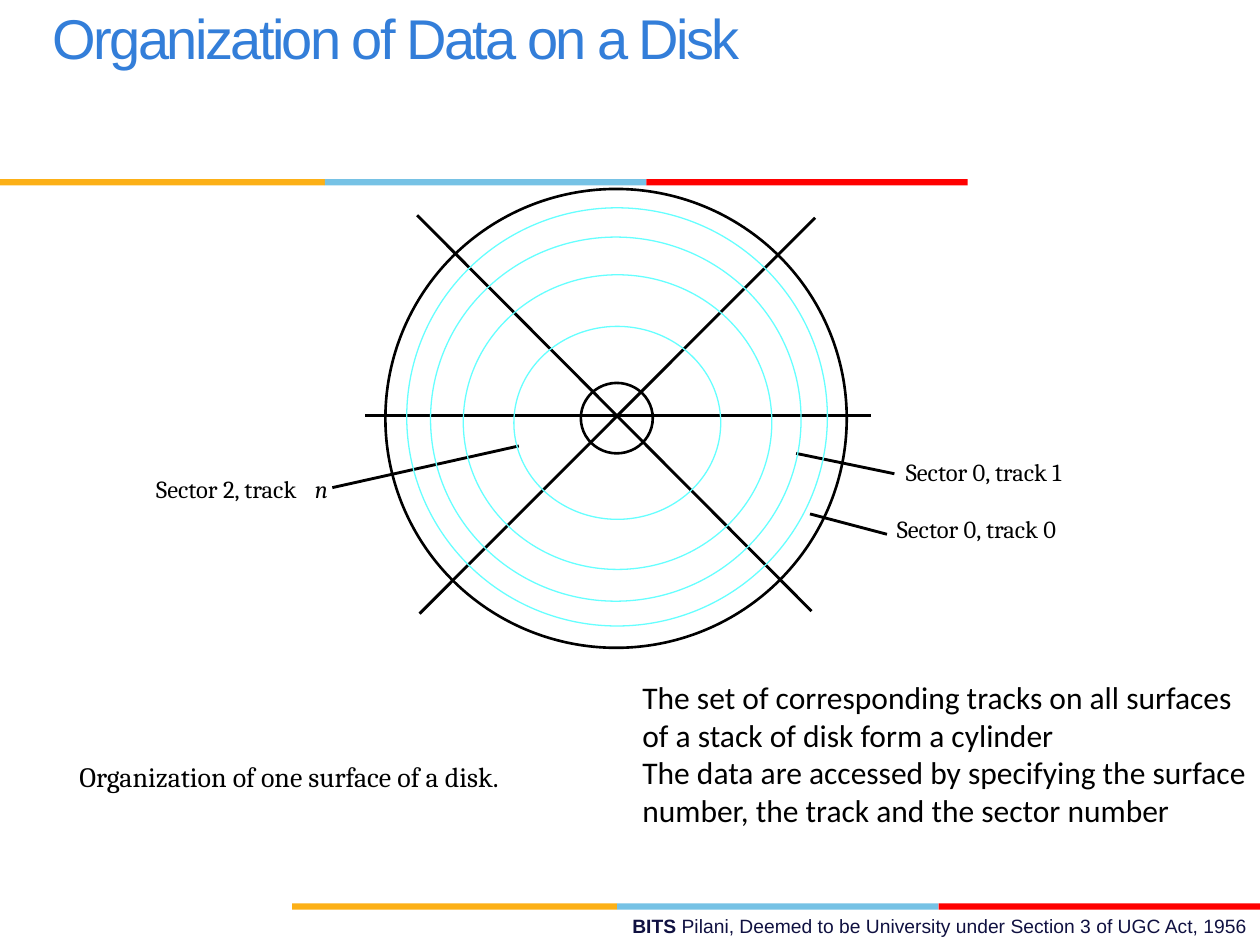
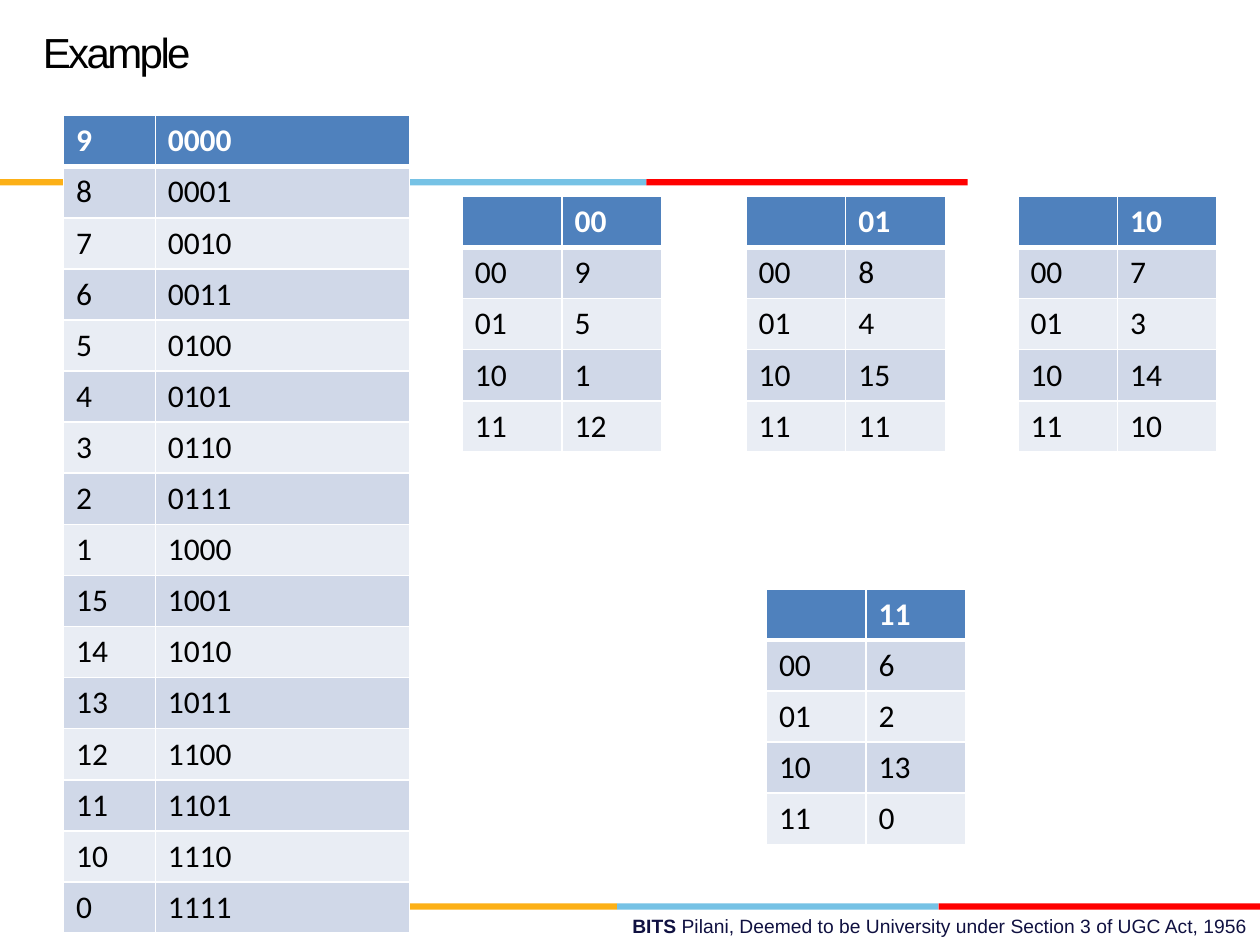
import pptx
import pptx.dml.color
import pptx.enum.shapes
import pptx.enum.text
import pptx.oxml.ns
import pptx.util
from lxml import etree

Cm = pptx.util.Cm
Pt = pptx.util.Pt
RGB = pptx.dml.color.RGBColor
Kind = pptx.enum.shapes.MSO_SHAPE
Align = pptx.enum.text.PP_ALIGN
Anchor = pptx.enum.text.MSO_ANCHOR
qn = pptx.oxml.ns.qn

BLACK = RGB(0x00, 0x00, 0x00)
WHITE = RGB(0xFF, 0xFF, 0xFF)
GOLD = RGB(0xFC, 0xB0, 0x17)
SKY = RGB(0x76, 0xC2, 0xE5)
RED = RGB(0xFF, 0x00, 0x00)
NAVY = RGB(0x10, 0x11, 0x41)
BLUE = RGB(0x33, 0x7E, 0xD9)
CYAN = RGB(0x66, 0xFF, 0xFF)
HEAD = RGB(0x4F, 0x81, 0xBD)
DARK = RGB(0xD0, 0xD8, 0xE8)
PALE = RGB(0xE9, 0xED, 0xF4)

KEYS = [*range(9, 0, -1), *range(15, 9, -1), 0]
ROW = 1.03


def write(para, text, size, face, color=BLACK, bold=False, italic=False):
    """Add one formatted run to a paragraph."""
    run = para.add_run()
    run.text = text
    font = run.font
    font.size, font.name = Pt(size), face
    font.bold, font.italic = bold, italic
    font.color.rgb = color
    return run


def add_box(slide, box, inset=True, wrap=True):
    """Add a text box and return its frame."""
    frame = slide.shapes.add_textbox(*map(Cm, box)).text_frame
    frame.word_wrap = wrap
    if not inset:
        frame.margin_left = frame.margin_right = 0
        frame.margin_top = frame.margin_bottom = 0
    return frame


def add_label(slide, text, box, size=14, italic=False):
    """Add a one-line serif label."""
    frame = add_box(slide, box, inset=False, wrap=False)
    write(frame.paragraphs[0], text, size, "Cambria", italic=italic)


def add_bands(slide, left, top):
    """Draw the three-colour rule."""
    for color, width in ((GOLD, 6.55), (SKY, 6.48), (RED, 6.48)):
        band = slide.shapes.add_shape(
            Kind.RECTANGLE, Cm(left), Cm(top), Cm(width), Cm(0.13))
        band.shadow.inherit = False
        band.fill.solid()
        band.fill.fore_color.rgb = color
        band.line.fill.background()
        left += width


def add_foot(slide, box):
    """Write the university line."""
    para = add_box(slide, box).paragraphs[0]
    para.alignment = Align.RIGHT
    write(para, "BITS ", 11, "Arial", NAVY, bold=True)
    write(para, "Pilani, Deemed to be University under Section 3 of UGC Act, 1956",
          11, "Arial", NAVY)


def add_slide(deck, title, box, size, color, anchor):
    """Start a slide with its title, bands and footer."""
    slide = deck.slides.add_slide(deck.slide_layouts[5])
    shape = slide.shapes.title
    shape.left, shape.top, shape.width, shape.height = map(Cm, box)
    frame = shape.text_frame
    frame.auto_size = pptx.enum.text.MSO_AUTO_SIZE.NONE
    frame.vertical_anchor = anchor
    para = frame.paragraphs[0]
    para.alignment = Align.LEFT
    run = write(para, title, size, "Arial", color)
    run.font._element.set("spc", "-150")
    add_bands(slide, 0, 3.61)
    add_bands(slide, 5.89, 18.21)
    add_foot(slide, (9.09, 18.31, 16.31, 0.74))
    return slide


def add_line(slide, left, top, ends):
    """Draw a black line between two points of a region."""
    x1, y1, x2, y2 = ends
    line = slide.shapes.add_connector(
        pptx.enum.shapes.MSO_CONNECTOR.STRAIGHT,
        Cm(left + x1), Cm(top + y1), Cm(left + x2), Cm(top + y2))
    line.line.color.rgb = BLACK
    line.line.width = Pt(1.63)
    etree.SubElement(line._element.spPr, qn("a:effectLst"))


def add_ring(slide, box, color, weight):
    """Draw an unfilled ellipse."""
    ring = slide.shapes.add_shape(Kind.OVAL, *map(Cm, box))
    ring.shadow.inherit = False
    ring.fill.background()
    ring.line.color.rgb = color
    ring.line.width = Pt(weight)


def add_disk(slide, left, top):
    """Draw the disk with spokes, tracks and labels."""
    spokes = ((9.78, 4.57, -0.41, 4.57), (0.69, 8.56, 8.66, 0.58),
              (0.64, 0.53, 8.59, 8.51))
    leads = ((-1.07, 6.02, 2.69, 5.18), (10.11, 6.96, 8.56, 6.55),
             (10.26, 5.74, 8.28, 5.33))
    for ends in spokes + leads:
        add_line(slide, left, top, ends)
    rims = ((0, 0, 9.3, 9.25), (3.94, 3.91, 1.45, 1.42))
    tracks = ((0.43, 0.38, 8.48, 8.43), (0.91, 0.97, 7.47, 7.34),
              (1.57, 1.73, 6.22, 5.94), (2.59, 2.77, 4.17, 3.89))
    for rings, color, weight in ((rims, BLACK, 1.5), (tracks, CYAN, 0.75)):
        for x, y, wide, high in rings:
            add_ring(slide, (left + x, top + y, wide, high), color, weight)
    for text, x, y, wide in (("Sector 0, track 0", 10.31, 6.55, 3.58),
                             ("Sector 0, track 1", 10.49, 5.41, 3.58),
                             ("Sector 2, track", -4.62, 5.74, 3.2),
                             ("n", -1.42, 5.74, 0.28)):
        add_label(slide, text, (left + x, top + y, wide, 0.58),
                  italic=text == "n")


def add_notes(slide, box):
    """Write the remarks on cylinders and access."""
    frame = add_box(slide, box)
    lines = ("The set of corresponding tracks on all surfaces of a stack of "
             "disk form a cylinder",
             "The data are accessed by specifying the surface number, the "
             "track and the sector number")
    for i, text in enumerate(lines):
        para = frame.add_paragraph() if i else frame.paragraphs[0]
        write(para, text, 18, "Calibri")


def set_edges(cell, row):
    """Give a cell white borders, thick below the header."""
    props = cell._tc.get_or_add_tcPr()
    thick = {(0, "B"), (1, "T")}
    for side in "LRTB":
        width = Pt(3 if (row, side) in thick else 1)
        edge = etree.SubElement(props, qn("a:ln" + side), w=str(width))
        fill = etree.SubElement(edge, qn("a:solidFill"))
        etree.SubElement(fill, qn("a:srgbClr"), val=str(WHITE))


def add_grid(slide, left, top, widths, rows):
    """Add a banded table with a header row."""
    table = slide.shapes.add_table(
        len(rows), len(widths), Cm(left), Cm(top),
        Cm(sum(widths)), Cm(ROW * len(rows))).table
    for col, width in zip(table.columns, widths):
        col.width = Cm(width)
    for r, texts in enumerate(rows):
        table.rows[r].height = Cm(ROW)
        for c, text in enumerate(texts):
            cell = table.cell(r, c)
            set_edges(cell, r)
            cell.fill.solid()
            cell.fill.fore_color.rgb = (DARK if r % 2 else PALE) if r else HEAD
            if text:
                write(cell.text_frame.paragraphs[0], text, 18, "Calibri",
                      BLACK if r else WHITE, bold=not r)


def add_bucket(slide, left, top, low):
    """Tabulate the keys whose address ends in the given two bits."""
    rows = [("", f"{low:02b}")]
    rows += [(f"{high:02b}", str(key))
             for high, key in enumerate(KEYS[low::4])]
    add_grid(slide, left, top, (2.01, 2.01), rows)


def disk_slide(deck):
    """Build the slide on disk layout."""
    slide = add_slide(deck, "Organization of Data on a Disk",
                      (0.81, -0.06, 17.45, 2.24), 32, BLUE, Anchor.TOP)
    add_disk(slide, 7.77, 3.81)
    add_label(slide, "Organization of one surface of a disk.",
              (1.6, 15.32, 9.45, 0.69), size=16)
    add_notes(slide, (12.7, 13.54, 12.7, 4.11))


def table_slide(deck):
    """Build the slide with addresses and buckets."""
    slide = add_slide(deck, "Example", (0.61, 0.38, 15.67, 1.07),
                      24, BLACK, Anchor.MIDDLE)
    slide.shapes.title.text_frame.paragraphs[0].line_spacing = Pt(36)
    add_grid(slide, 1.28, 2.33, (1.85, 5.13),
             [(str(key), f"{i:04b}") for i, key in enumerate(KEYS)])
    spots = ((9.32, 3.96), (15.04, 3.96), (20.52, 3.96), (15.45, 11.87))
    for low, (left, top) in enumerate(spots):
        add_bucket(slide, left, top, low)


def main():
    """Build and save the deck."""
    deck = pptx.Presentation()
    deck.slide_width, deck.slide_height = Cm(25.4), Cm(19.05)
    disk_slide(deck)
    table_slide(deck)
    deck.save("out.pptx")


if __name__ == "__main__":
    main()
